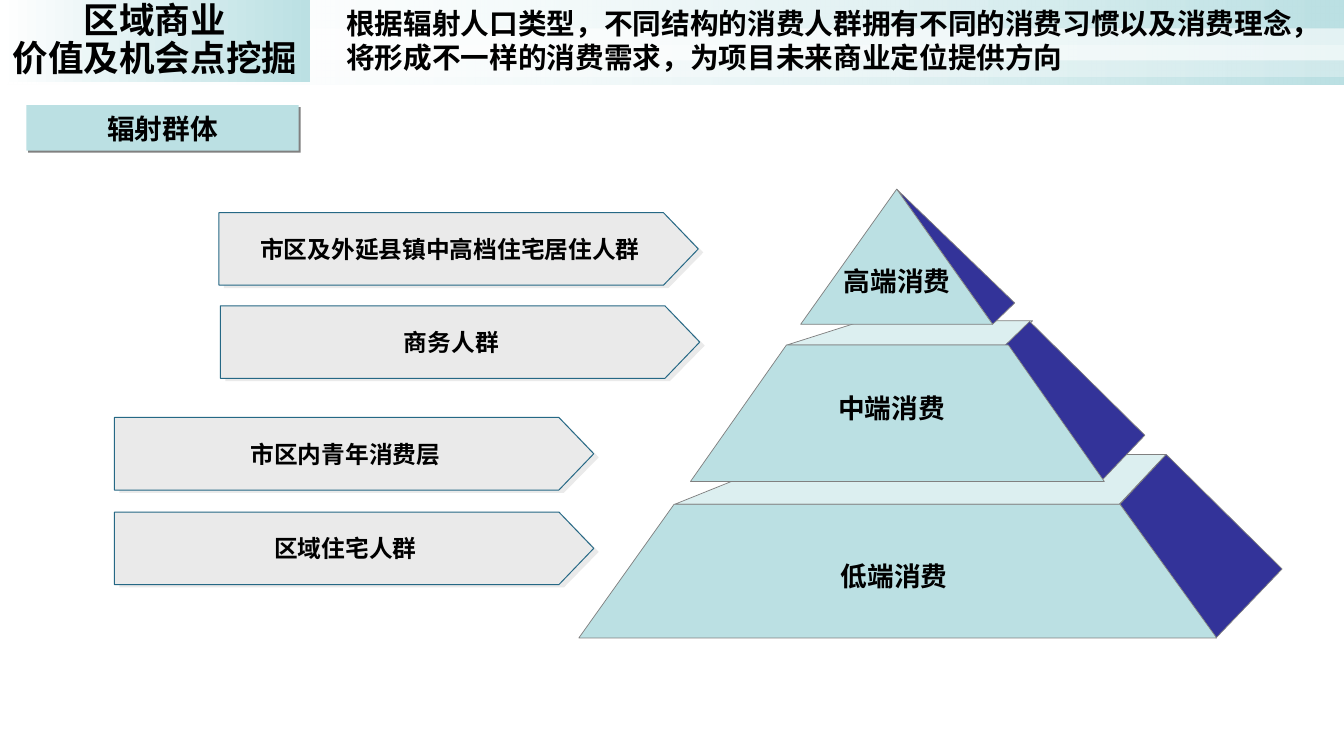
from dataclasses import dataclass
from lxml import etree
from pptx import Presentation
from pptx.dml.color import RGBColor
from pptx.enum.shapes import MSO_SHAPE
from pptx.enum.text import MSO_ANCHOR, PP_ALIGN
from pptx.oxml.ns import qn
from pptx.util import Inches, Pt

RECT, PENTAGON = MSO_SHAPE.RECTANGLE, MSO_SHAPE.PENTAGON
TOP, MIDDLE = MSO_ANCHOR.TOP, MSO_ANCHOR.MIDDLE
LEFT, CENTER = PP_ALIGN.LEFT, PP_ALIGN.CENTER


@dataclass(frozen=True)
class Theme:
    font: str = "Noto Sans CJK SC"
    black: str = "000000"
    white: str = "FFFFFF"
    teal: str = "BBE0E3"
    navy: str = "333399"
    gray: str = "EAEAEA"
    edge: str = "808080"
    arrow_edge: str = "256885"
    title: int = 36
    lead: int = 29
    tag: int = 28
    tier: int = 27
    group: int = 24


THEME = Theme()

GROUPS = [
    (3.08, 2.99, "市区及外延县镇中高档住宅居住人群"),
    (3.1, 4.3, "商务人群"),
    (1.61, 5.87, "市区内青年消费层"),
    (1.61, 7.2, "区域住宅人群"),
]

TIERS = [
    {
        "ledge": [(9.49, 7.09), (15.74, 7.09), (16.4, 6.39), (11.23, 6.39)],
        "side": [(15.75, 7.09), (17.1, 8.97), (18.03, 8), (16.4, 6.39)],
        "front": [(8.14, 8.97), (17.11, 8.97), (15.75, 7.09), (9.48, 7.09)],
        "label": ("低端消费", 9.38, 7.87, 6.39),
    },
    {
        "ledge": [(11.07, 4.85), (14.18, 4.85), (14.52, 4.51), (12.14, 4.51)],
        "side": [(15.48, 6.77), (16.1, 6.12), (14.48, 4.52), (14.14, 4.85)],
        "front": [(9.71, 6.77), (15.53, 6.77), (14.18, 4.85), (11.06, 4.85)],
        "label": ("中端消费", 10.13, 5.51, 4.81),
    },
    {
        "side": [(13.96, 4.56), (14.27, 4.26), (12.61, 2.66)],
        "front": [(11.26, 4.56), (13.96, 4.56), (12.61, 2.66)],
        "label": ("高端消费", 11.38, 3.72, 2.47),
    },
]


def rgb(color):
    return RGBColor.from_string(color)


def set_opacity(s, percent):
    color = s._element.spPr.find(".//" + qn("a:srgbClr"))
    etree.SubElement(color, qn("a:alpha"), val=str(percent * 1000))


def paint(s, fill, line=None, width=0.75, opacity=100):
    s.shadow.inherit = False
    s.fill.solid()
    s.fill.fore_color.rgb = rgb(fill)
    if opacity < 100:
        set_opacity(s, opacity)
    if line:
        s.line.color.rgb = rgb(line)
        s.line.width = Pt(width)
    else:
        s.line.fill.background()


def paint_gradient(s):
    s.shadow.inherit = False
    s.line.fill.background()
    s.fill.gradient()
    s.fill.gradient_angle = 0
    for stop, color in zip(s.fill.gradient_stops, (THEME.white, THEME.teal)):
        stop.color.rgb = rgb(color)


def add_drop_shadow(s):
    effects = s._element.spPr.find(qn("a:effectLst"))
    shadow = etree.SubElement(effects, qn("a:outerShdw"), dist=str(Pt(2.8)),
                              dir="2700000", algn="ctr", rotWithShape="0")
    etree.SubElement(shadow, qn("a:srgbClr"), val=THEME.edge)


def write(s, text, size, align=CENTER, anchor=MIDDLE, insets=(0.1, 0.05), spacing=None):
    tf = s.text_frame
    tf.text = text
    tf.word_wrap = True
    tf.vertical_anchor = anchor
    tf.margin_left = tf.margin_right = Inches(insets[0])
    tf.margin_top = tf.margin_bottom = Inches(insets[1])
    for p in tf.paragraphs:
        p.alignment = align
        if spacing:
            p.line_spacing = spacing
        for r in p.runs:
            r.font.name = THEME.font
            r.font.size = Pt(size)
            r.font.bold = True
            r.font.color.rgb = rgb(THEME.black)
            etree.SubElement(r.font._element, qn("a:ea"), typeface=THEME.font)


def add_shape(shapes, kind, *box):
    return shapes.add_shape(kind, *map(Inches, box))


def add_text(shapes, box, text, size, **style):
    write(shapes.add_textbox(*map(Inches, box)), text, size, **style)


def add_face(shapes, points, fill, opacity=100):
    start, *rest = [(Inches(x), Inches(y)) for x, y in points]
    builder = shapes.build_freeform(*start)
    builder.add_line_segments(rest, close=True)
    paint(builder.convert_to_shape(), fill, THEME.edge, opacity=opacity)


def add_tier(shapes, tier):
    if "ledge" in tier:
        add_face(shapes, tier["ledge"], THEME.teal, 50)
    add_face(shapes, tier["side"], THEME.navy)
    add_face(shapes, tier["front"], THEME.teal)


def add_group(shapes, x, y, text):
    back = add_shape(shapes, PENTAGON, x + 0.07, y + 0.06, 6.74, 1)
    back.adjustments[0] = 0.49
    paint(back, THEME.gray)
    s = add_shape(shapes, PENTAGON, x, y, 6.74, 1.02)
    s.adjustments[0] = 0.48
    paint(s, THEME.gray, THEME.arrow_edge, 1)
    write(s, text, THEME.group, insets=(0.17, 0.08))


def add_banner(shapes):
    band = add_shape(shapes, RECT, 0, 0, 18.9, 1.19)
    paint_gradient(band)
    set_opacity(band, 0)
    for y, opacity in ((0.4, 60), (0.63, 31)):
        paint(add_shape(shapes, RECT, 0, y, 18.9, 0.45), THEME.white, opacity=opacity)


def add_headings(shapes):
    lead = "根据辐射人口类型，不同结构的消费人群拥有不同的消费习惯以及消费理念，将形成不一样的消费需求，为项目未来商业定位提供方向"
    add_text(shapes, (4.7, 0, 13.92, 1.17), lead, THEME.lead,
             align=LEFT, anchor=TOP, insets=(0.17, 0.08))
    title = add_shape(shapes, RECT, 0, 0, 4.36, 1.15)
    paint_gradient(title)
    write(title, "区域商业\n价值及机会点挖掘", THEME.title, spacing=0.9)
    tag = add_shape(shapes, RECT, 0.37, 1.48, 3.83, 0.64)
    paint(tag, THEME.teal)
    add_drop_shadow(tag)
    write(tag, "辐射群体", THEME.tag, insets=(0.18, 0.05))


def main():
    prs = Presentation()
    prs.slide_width, prs.slide_height = Inches(18.9), Inches(10.63)
    shapes = prs.slides.add_slide(prs.slide_layouts[6]).shapes
    add_banner(shapes)
    for tier in TIERS:
        add_tier(shapes, tier)
    for tier in TIERS:
        text, x, y, width = tier["label"]
        add_text(shapes, (x, y, width, 0.45), text, THEME.tier, insets=(0, 0))
    for group in GROUPS:
        add_group(shapes, *group)
    add_headings(shapes)
    prs.save("out.pptx")


if __name__ == "__main__":
    main()
